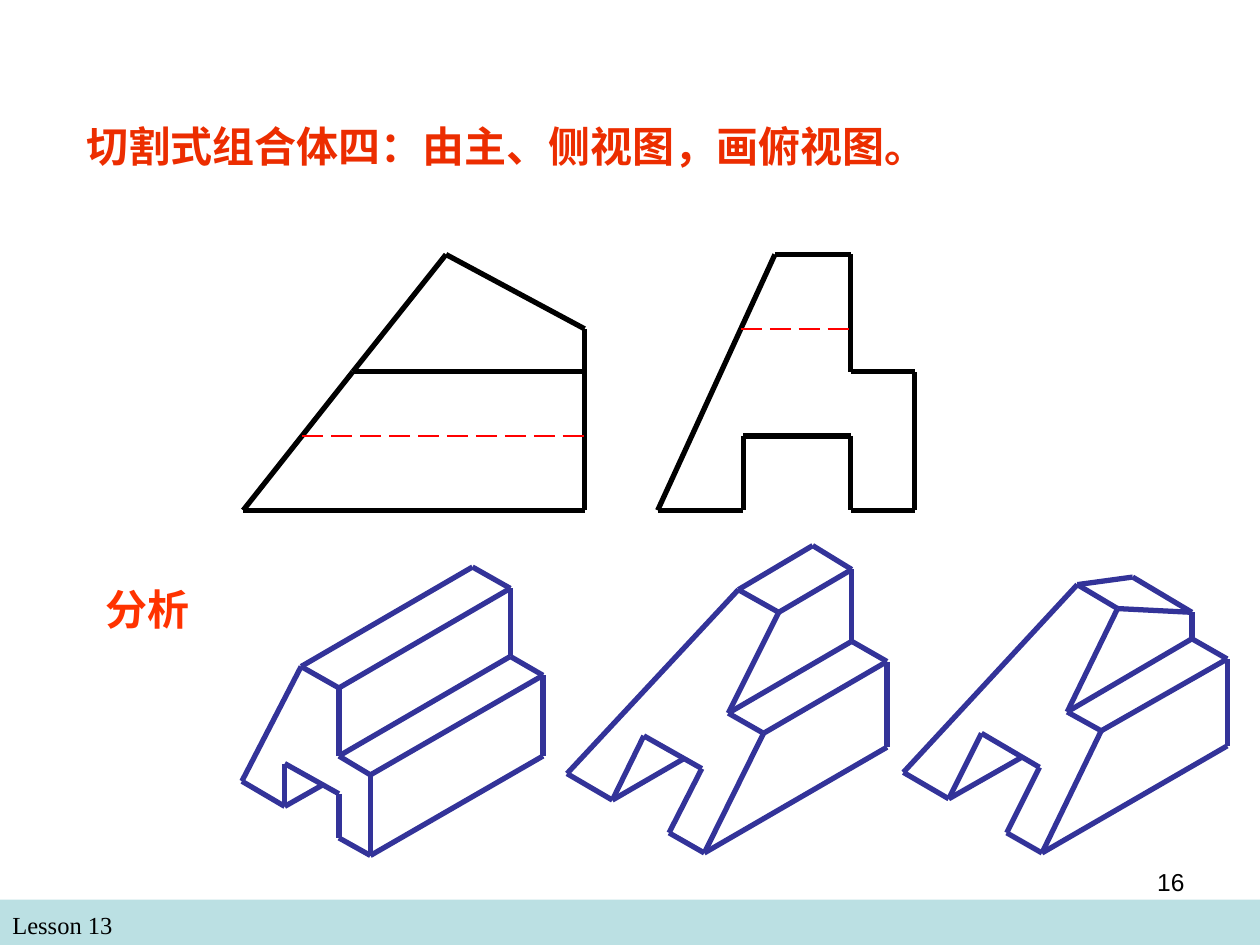
from lxml import etree
from pptx import Presentation
from pptx.dml.color import RGBColor
from pptx.enum.dml import MSO_LINE
from pptx.enum.shapes import MSO_CONNECTOR, MSO_SHAPE
from pptx.enum.text import MSO_ANCHOR, MSO_AUTO_SIZE, PP_ALIGN
from pptx.oxml.ns import qn
from pptx.util import Inches, Pt

STRAIGHT = MSO_CONNECTOR.STRAIGHT
RECTANGLE = MSO_SHAPE.RECTANGLE
LONG_DASH = MSO_LINE.LONG_DASH
TOP = MSO_ANCHOR.TOP
NO_FIT = MSO_AUTO_SIZE.NONE
LEFT, CENTER, RIGHT = PP_ALIGN.LEFT, PP_ALIGN.CENTER, PP_ALIGN.RIGHT

WIDTH, HEIGHT = 10, 7.5
TITLE_ONLY = 5
BAND_TOP = 7.14
BLACK, RED, BLUE, BAND = "000000", "FF0000", "333399", "BBE0E3"
SERIF, SANS = "Times New Roman", "Arial"

TITLE = ("切割式组合体四：由主、侧视图，画俯视图。", (0.59, 0.91, 7.01, 0.5), 24, SERIF, "EC2D00", True, LEFT)
LABELS = [
    ("Lesson 13", (0, 7.17, 4.83, 0.34), 14, SERIF, BLACK, False, LEFT),
    ("分析", (0.42, 4.58, 1.5, 0.5), 24, SERIF, "FF3300", True, CENTER),
    ("16", (7.17, 6.83, 2.33, 0.52), 14, SANS, BLACK, False, RIGHT),
]

BASE, STEP, SLOT, SHOULDER, PEAK = 4.05, 2.95, 3.46, 2.61, 2.02
FRONT_VIEW = {
    "A": (1.93, BASE), "B": (4.64, BASE), "C": (4.64, STEP), "D": (4.64, SHOULDER),
    "E": (3.54, PEAK), "F": (2.8, STEP), "G": (2.4, SLOT), "H": (4.64, SLOT),
}
SIDE_VIEW = {
    "A": (5.22, BASE), "B": (5.9, BASE), "C": (5.9, SLOT), "D": (6.75, SLOT),
    "E": (6.75, BASE), "F": (7.26, BASE), "G": (7.26, STEP), "H": (6.75, STEP),
    "I": (6.75, PEAK), "J": (6.15, PEAK), "K": (5.88, SHOULDER), "L": (6.75, SHOULDER),
}
PRISM = {
    "A": (1.92, 6.2), "B": (2.26, 6.4), "C": (2.26, 6.06), "D": (2.69, 6.3),
    "E": (2.69, 6.65), "F": (2.94, 6.79), "G": (2.94, 6.15), "H": (2.69, 6),
    "I": (2.69, 5.46), "J": (2.39, 5.29), "K": (3.75, 4.5), "L": (4.05, 4.67),
    "M": (4.05, 5.21), "N": (4.31, 5.36), "O": (4.31, 6), "P": (2.56, 6.23),
}
SLANTED_PRISM = {
    "A": (4.5, 6.14), "B": (4.86, 6.35), "C": (5.11, 5.84), "D": (5.57, 6.1),
    "E": (5.31, 6.61), "F": (5.59, 6.77), "G": (6.06, 5.82), "H": (5.78, 5.66),
    "I": (6.18, 4.86), "J": (5.86, 4.68), "K": (6.45, 4.33), "L": (6.76, 4.52),
    "M": (6.76, 5.09), "N": (7.04, 5.25), "O": (7.04, 5.93), "P": (5.43, 6.02),
}
FINISHED_BODY = {
    "A": (7.17, 6.13), "B": (7.53, 6.34), "C": (7.79, 5.82), "D": (8.25, 6.09),
    "E": (7.99, 6.61), "F": (8.27, 6.77), "G": (8.74, 5.8), "H": (8.47, 5.65),
    "I": (8.87, 4.83), "J": (8.55, 4.64), "K": (8.99, 4.58), "L": (9.46, 4.86),
    "M": (9.46, 5.07), "N": (9.74, 5.23), "O": (9.74, 5.92), "P": (8.11, 6.01),
}
BODY_EDGES = ["ABCDEFGHIJA", "JKLMNOF", "IL", "HM", "GN", "BP"]
DRAWINGS = [
    (FRONT_VIEW, BLACK, ["ABCDEFA", "FC"], ["GH"]),
    (SIDE_VIEW, BLACK, ["ABCDEFGHIJA"], ["KL"]),
    (PRISM, BLUE, BODY_EDGES, []),
    (SLANTED_PRISM, BLUE, BODY_EDGES, []),
    (FINISHED_BODY, BLUE, BODY_EDGES, []),
]


def color(value):
    return RGBColor.from_string(value)


def place(box, area):
    box.left, box.top, box.width, box.height = map(Inches, area)


def write(box, text, size, font, tint, bold, align):
    frame = box.text_frame
    frame.word_wrap = True
    frame.auto_size = NO_FIT
    frame.vertical_anchor = TOP
    frame.text = text
    para = frame.paragraphs[0]
    para.alignment = align
    para.font.size = Pt(size)
    para.font.name = font
    para.font.bold = bold
    para.font.color.rgb = color(tint)


def draw_edges(group, points, chains, tint, weight, dash=None):
    for chain in chains:
        for start, end in zip(chain, chain[1:]):
            ends = map(Inches, points[start] + points[end])
            edge = group.shapes.add_connector(STRAIGHT, *ends)
            edge.line.color.rgb = color(tint)
            edge.line.width = Pt(weight)
            if dash:
                edge.line.dash_style = dash
            etree.SubElement(edge._element.spPr, qn("a:effectLst"))


def main():
    deck = Presentation()
    deck.slide_width, deck.slide_height = Inches(WIDTH), Inches(HEIGHT)
    page = deck.slides.add_slide(deck.slide_layouts[TITLE_ONLY])

    area = map(Inches, (0, BAND_TOP, WIDTH, HEIGHT - BAND_TOP))
    band = page.shapes.add_shape(RECTANGLE, *area)
    band.shadow.inherit = False
    band.fill.solid()
    band.fill.fore_color.rgb = color(BAND)
    band.line.fill.background()

    for points, tint, visible, hidden in DRAWINGS:
        group = page.shapes.add_group_shape()
        draw_edges(group, points, visible, tint, 3)
        draw_edges(group, points, hidden, RED, 1.5, LONG_DASH)

    text, area, *style = TITLE
    place(page.shapes.title, area)
    write(page.shapes.title, text, *style)
    for text, area, *style in LABELS:
        box = page.shapes.add_textbox(*map(Inches, area))
        write(box, text, *style)

    deck.save("out.pptx")


if __name__ == "__main__":
    main()
